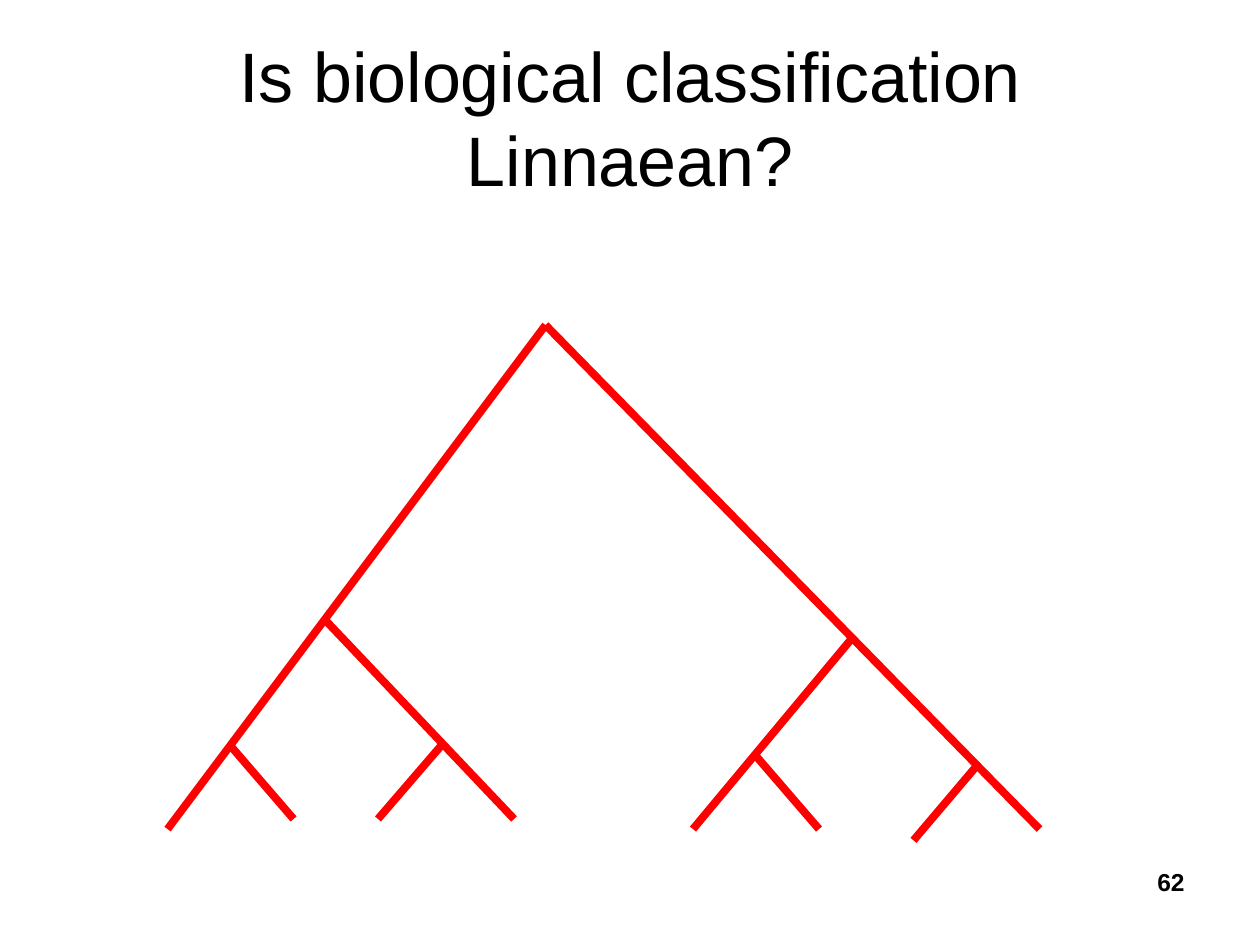
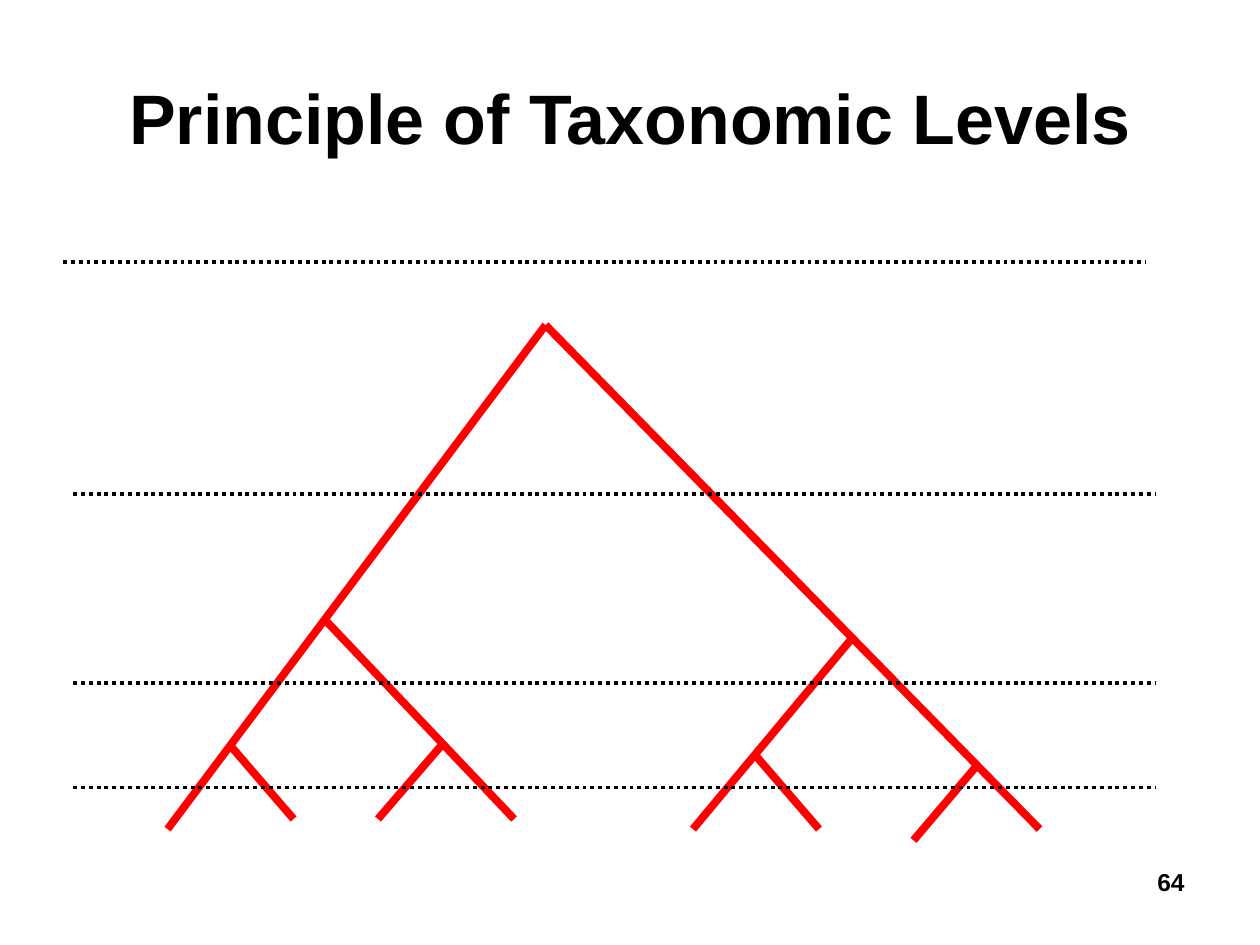
from lxml import etree
from pptx import Presentation
from pptx.dml.color import RGBColor
from pptx.enum.dml import MSO_LINE
from pptx.enum.shapes import MSO_CONNECTOR
from pptx.enum.text import MSO_ANCHOR, PP_ALIGN
from pptx.oxml.ns import qn
from pptx.util import Inches, Pt

STRAIGHT = MSO_CONNECTOR.STRAIGHT
DOTTED = MSO_LINE.ROUND_DOT
TOP, MIDDLE = MSO_ANCHOR.TOP, MSO_ANCHOR.MIDDLE
CENTER, RIGHT = PP_ALIGN.CENTER, PP_ALIGN.RIGHT

COLORS = {"text": "000000", "branch": "FF0000", "level": "000000"}
FONT = "Arial"

TITLE_BOX = (0.5, 0.3, 9, 1.25)
NUMBER_BOX = (7.17, 6.83, 2.33, 0.52)

BRANCHES = [
    (4.33, 2.58, 8.25, 6.58),
    (4.33, 2.58, 1.33, 6.58),
    (2.58, 4.92, 4.08, 6.5),
    (6.75, 5.08, 5.5, 6.58),
    (1.83, 5.92, 2.33, 6.5),
    (3.5, 5.92, 3, 6.5),
    (6, 6, 6.5, 6.58),
    (7.75, 6.08, 7.25, 6.67),
]
LEVEL_WIDTH = 8.59
LEVELS = [(0.5, 2.08), (0.58, 3.92), (0.58, 5.42), (0.58, 6.25)]

SLIDES = [
    {"title": "Is biological classification Linnaean?", "bold": False,
     "number": "62", "levels": []},
    {"title": "Principle of Taxonomic Levels", "bold": True,
     "number": "64", "levels": LEVELS},
]


def add_text(slide, box, text, size, bold, alignment, anchor):
    text_frame = slide.shapes.add_textbox(*map(Inches, box)).text_frame
    text_frame.word_wrap = True
    text_frame.vertical_anchor = anchor
    text_frame.text = text
    paragraph = text_frame.paragraphs[0]
    paragraph.alignment = alignment
    font = paragraph.runs[0].font
    font.name = FONT
    font.size = Pt(size)
    font.bold = bold
    font.color.rgb = RGBColor.from_string(COLORS["text"])


def add_line(shapes, ends, color, width):
    connector = shapes.add_connector(STRAIGHT, *map(Inches, ends))
    connector.line.color.rgb = RGBColor.from_string(COLORS[color])
    connector.line.width = Pt(width)
    etree.SubElement(connector._element.spPr, qn("a:effectLst"))
    return connector


presentation = Presentation()
presentation.slide_width = Inches(10)
presentation.slide_height = Inches(7.5)
blank_layout = presentation.slide_layouts[6]

for content in SLIDES:
    slide = presentation.slides.add_slide(blank_layout)
    add_text(slide, TITLE_BOX, content["title"], 40, content["bold"], CENTER, MIDDLE)

    tree = slide.shapes.add_group_shape()
    for branch in BRANCHES:
        add_line(tree.shapes, branch, "branch", 4.5)

    for left, top in content["levels"]:
        level = add_line(slide.shapes, (left, top, left + LEVEL_WIDTH, top), "level", 2.25)
        level.line.dash_style = DOTTED

    add_text(slide, NUMBER_BOX, content["number"], 14, True, RIGHT, TOP)

presentation.save("out.pptx")
